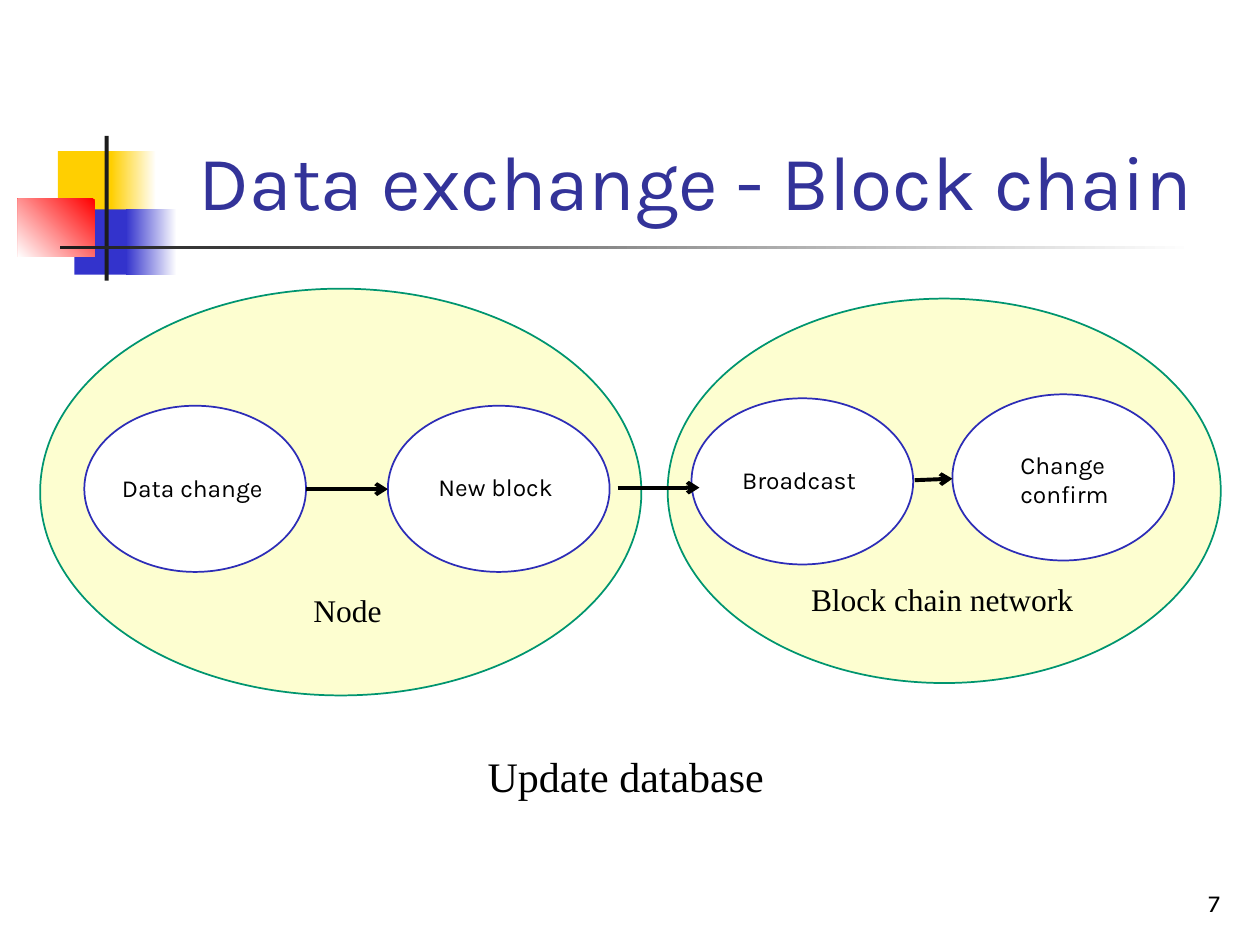
from lxml import etree
from pptx import Presentation
from pptx.dml.color import RGBColor
from pptx.enum.shapes import MSO_CONNECTOR, MSO_SHAPE
from pptx.enum.text import MSO_ANCHOR, PP_ALIGN
from pptx.oxml.ns import qn
from pptx.util import Cm, Pt

RECT, OVAL = MSO_SHAPE.RECTANGLE, MSO_SHAPE.OVAL
STRAIGHT = MSO_CONNECTOR.STRAIGHT
TOP, BOTTOM = MSO_ANCHOR.TOP, MSO_ANCHOR.BOTTOM
LEFT, RIGHT = PP_ALIGN.LEFT, PP_ALIGN.RIGHT
SANS, SERIF = "Karla", "Times New Roman"
BLACK, WHITE = "000000", "FFFFFF"
YELLOW, BLUE, RED, DARK = "FFCF01", "3333CC", "FF0000", "1C1C1C"

# Content; boxes are left, top, width, height in cm
# Header ornament: box, fill (a colour, or start colour, end colour, angle)
ornament = [
    ((1.17, 3.05, 1.22, 1.32), YELLOW),
    ((2.24, 3.05, 0.91, 1.32), (WHITE, YELLOW, 180)),
    ((1.5, 4.22, 1.17, 1.32), BLUE),
    ((2.54, 4.22, 1.02, 1.32), (WHITE, BLUE, 180)),
    ((0.36, 4.01, 1.55, 1.17), (RED, WHITE, 225)),
    ((2.11, 2.74, 0.08, 2.92), DARK),
    ((1.22, 4.95, 22.86, 0.08), (WHITE, DARK, 180)),
]
zones = [(13.46, 6.02, 11.15, 7.75), (0.81, 5.82, 12.12, 8.2)]

# Step: label, ellipse corner, label box
STEP_SIZE = (4.47, 3.35)
steps = [
    ("Data change", (1.7, 8.18), (2.21, 9.42, 3.43, 1.45)),
    ("New block", (7.82, 8.18), (8.59, 9.4, 3.12, 0.86)),
    ("Broadcast", (13.94, 8.03), (14.71, 9.25, 3.12, 0.86)),
    ("Change confirm", (19.2, 7.95), (20.32, 8.94, 2.67, 1.45)),
]
arrows = [
    (6.17, 9.86, 7.82, 9.86),
    (12.45, 9.83, 14.1, 9.83),
    (18.44, 9.68, 19.2, 9.65),
]
# Text: wording, box, font, size, colour, anchor, alignment
texts = [
    ("7", (19.56, 17.35, 5.28, 1.27), SANS, 14, BLACK, BOTTOM, RIGHT),
    ("Data exchange - Block chain", (3.76, 2.46, 21.64, 2.21),
     SANS, 44, "333399", BOTTOM, LEFT),
    ("Node", (6.07, 11.79, 2.13, 1.02), SERIF, 18, BLACK, TOP, LEFT),
    ("Block chain network", (16.1, 11.56, 6.86, 1.02),
     SERIF, 18, BLACK, TOP, LEFT),
    ("Update database", (9.58, 15.01, 7.85, 1.27),
     SERIF, 24, BLACK, TOP, LEFT),
]


def rgb(value):
    return RGBColor.from_string(value)


def lengths(values):
    return [Cm(value) for value in values]


def add_form(shapes, kind, box, fill, outline=None):
    form = shapes.add_shape(kind, *lengths(box))
    form.shadow.inherit = False
    if isinstance(fill, tuple):
        start, end, angle = fill
        form.fill.gradient()
        form.fill.gradient_angle = angle
        for stop, color in zip(form.fill.gradient_stops, (start, end)):
            stop.color.rgb = rgb(color)
    else:
        form.fill.solid()
        form.fill.fore_color.rgb = rgb(fill)
    if outline:
        form.line.color.rgb = rgb(outline)
        form.line.width = Pt(1)
    else:
        form.line.fill.background()
    return form


def write(holder, wording, font, size, color, anchor=TOP, align=LEFT):
    frame = holder.text_frame
    frame.word_wrap = True
    frame.vertical_anchor = anchor
    paragraph = frame.paragraphs[0]
    paragraph.alignment = align
    run = paragraph.add_run()
    run.text = wording
    run.font.name = font
    run.font.size = Pt(size)
    run.font.color.rgb = rgb(color)


presentation = Presentation()
presentation.slide_width, presentation.slide_height = Cm(25.4), Cm(19.05)
slide = presentation.slides.add_slide(presentation.slide_layouts[6])

# Header ornament
for box, fill in ornament:
    add_form(slide.shapes, RECT, box, fill)

# Translucent zones
for box in zones:
    zone = add_form(slide.shapes, OVAL, box, "F6FC14", "00956F")
    zone_color = zone.fill._xPr.find(qn("a:solidFill"))[0]
    etree.SubElement(zone_color, qn("a:alpha"), val="20000")

# Steps, each an ellipse grouped with its label
for wording, corner, label_box in steps:
    step = slide.shapes.add_group_shape()
    add_form(step.shapes, OVAL, corner + STEP_SIZE, WHITE, "2D2DB7")
    label = add_form(step.shapes, RECT, label_box, WHITE)
    write(label, wording, SANS, 14, BLACK)

# Title, captions and slide number
for wording, box, *style in texts:
    write(slide.shapes.add_textbox(*lengths(box)), wording, *style)

# Arrows between steps
for ends in arrows:
    arrow = slide.shapes.add_connector(STRAIGHT, *lengths(ends))
    arrow.line.color.rgb = rgb(BLACK)
    arrow.line.width = Pt(2.25)
    etree.SubElement(arrow.line._get_or_add_ln(), qn("a:tailEnd"), type="arrow")
    etree.SubElement(arrow._element.spPr, qn("a:effectLst"))

presentation.save("out.pptx")
